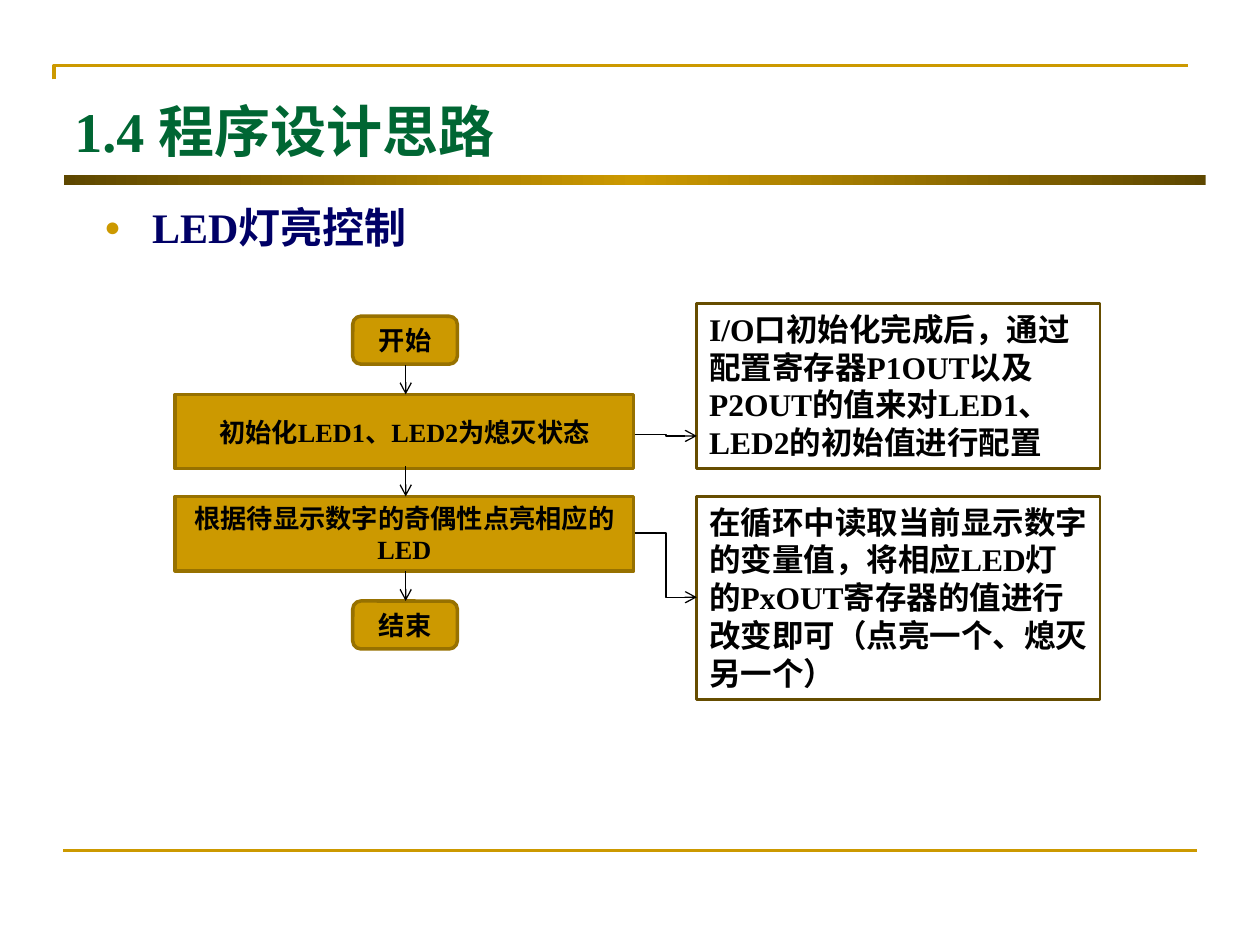
"""Build the slide on the LED control flow."""
from copy import deepcopy
from lxml.etree import SubElement
from pptx import Presentation
from pptx.dml.color import RGBColor
from pptx.enum.shapes import MSO_CONNECTOR, MSO_SHAPE
from pptx.enum.text import MSO_ANCHOR, MSO_AUTO_SIZE, PP_ALIGN
from pptx.oxml.ns import qn
from pptx.util import Inches, Pt

COLORS = {
    "gold": "CC9900", "edge": "977100", "brown": "664D00", "dark": "5E4700",
    "green": "006633", "navy": "000066", "black": "000000",
}
SERIF = "Times New Roman"


def rgb(name):
    """Return a named colour."""
    return RGBColor.from_string(COLORS[name])


def write(frame, text, size, color, font=SERIF, align=PP_ALIGN.LEFT):
    """Put one bold run in the first paragraph of a frame."""
    frame.word_wrap = True
    para = frame.paragraphs[0]
    para.alignment = align
    run = para.add_run()
    run.text = text
    run.font.size, run.font.name, run.font.bold = Pt(size), font, True
    run.font.color.rgb = rgb(color)
    return para


def outline(shape, color, width):
    """Set the line of a shape and drop its shadow."""
    shape.shadow.inherit = False
    shape.line.color.rgb = rgb(color)
    shape.line.width = Pt(width)


def add_link(slide, kind, start, end, color="black", width=0.75, arrow=True):
    """Draw a connector, with an arrowhead if asked."""
    link = slide.shapes.add_connector(kind, *map(Inches, start + end))
    link.line.color.rgb = rgb(color)
    link.line.width = Pt(width)
    props = link._element.spPr
    SubElement(props, qn("a:effectLst"))
    if arrow:
        SubElement(props.find(qn("a:ln")), qn("a:tailEnd"), type="arrow")


def add_frame(slide):
    """Draw the corner rule, the bottom rule and the title bar."""
    form = slide.shapes.build_freeform(Inches(0.43), Inches(0.63))
    points = [(0.43, 0.52), (9.43, 0.52)]
    form.add_line_segments([(Inches(x), Inches(y)) for x, y in points], close=False)
    corner = form.convert_to_shape()
    corner.fill.background()
    outline(corner, "gold", 2.25)
    add_link(slide, MSO_CONNECTOR.STRAIGHT, (0.5, 6.75), (9.5, 6.75), "gold", 1.5, False)
    bar = slide.shapes.add_shape(
        MSO_SHAPE.RECTANGLE, Inches(0.51), Inches(1.39), Inches(9.06), Inches(0.08))
    bar.shadow.inherit = False
    bar.line.fill.background()
    bar.fill.gradient()
    bar.fill.gradient_angle = 0
    stops = bar._element.spPr.find(qn("a:gradFill")).find(qn("a:gsLst"))
    stops.insert(1, deepcopy(stops[0]))
    for stop, name, place in zip(bar.fill.gradient_stops, ("dark", "gold", "dark"), (0, 0.5, 1)):
        stop.color.rgb = rgb(name)
        stop.position = place


def add_title(slide, text):
    """Place and fill the title."""
    title = slide.shapes.title
    title.left, title.top = Inches(0.49), Inches(0.74)
    title.width, title.height = Inches(6.75), Inches(0.58)
    frame = title.text_frame
    frame.auto_size = MSO_AUTO_SIZE.NONE
    frame.vertical_anchor = MSO_ANCHOR.MIDDLE
    write(frame, text, 32, "green")


def add_bullet(slide, text):
    """Add the bulleted heading."""
    box = slide.shapes.add_textbox(Inches(0.73), Inches(1.55), Inches(6.76), Inches(0.59))
    para = write(box.text_frame, text, 24, "navy")
    para.space_before = Pt(4.8)
    props = para._p.get_or_add_pPr()
    props.set("marL", str(Inches(0.38)))
    props.set("indent", str(-Inches(0.38)))
    SubElement(SubElement(props, qn("a:buClr")), qn("a:srgbClr"), val=COLORS["gold"])
    SubElement(props, qn("a:buSzPct"), val="65000")
    SubElement(props, qn("a:buFont"), typeface="Arial")
    SubElement(props, qn("a:buChar"), char="●")


def add_step(slide, kind, spot, text, font=SERIF):
    """Add a gold box of the flow."""
    step = slide.shapes.add_shape(kind, *map(Inches, spot))
    step.fill.solid()
    step.fill.fore_color.rgb = rgb("gold")
    outline(step, "edge", 2)
    frame = step.text_frame
    frame.margin_left = frame.margin_right = Inches(0.07)
    frame.margin_top = frame.margin_bottom = Inches(0.04)
    frame.vertical_anchor = MSO_ANCHOR.MIDDLE
    write(frame, text, 15, "black", font, PP_ALIGN.CENTER)


def add_note(slide, top, height, text):
    """Add an outlined note beside the flow."""
    note = slide.shapes.add_shape(
        MSO_SHAPE.RECTANGLE, Inches(5.53), Inches(top), Inches(3.2), Inches(height))
    note.fill.background()
    outline(note, "brown", 1.5)
    note.text_frame.vertical_anchor = MSO_ANCHOR.TOP
    write(note.text_frame, text, 18, "black")


def main():
    """Build and save the slide."""
    deck = Presentation()
    deck.slide_width, deck.slide_height = Inches(10), Inches(7.5)
    slide = deck.slides.add_slide(deck.slide_layouts[5])
    add_frame(slide)
    add_title(slide, "1.4 程序设计思路")
    add_bullet(slide, "LED灯亮控制")
    for top, text, font in ((2.51, "开始", "Arial"), (4.77, "结束", SERIF)):
        add_step(slide, MSO_SHAPE.ROUNDED_RECTANGLE, (2.8, top, 0.83, 0.38), text, font)
    steps = ((3.13, "初始化LED1、LED2为熄灭状态"),
             (3.94, "根据待显示数字的奇偶性点亮相应的LED"))
    for top, text in steps:
        add_step(slide, MSO_SHAPE.RECTANGLE, (1.39, top, 3.64, 0.59), text)
    for start, end in ((2.9, 3.13), (3.7, 3.94), (4.53, 4.77)):
        add_link(slide, MSO_CONNECTOR.STRAIGHT, (3.22, start), (3.22, end))
    add_note(slide, 2.41, 1.31,
             "I/O口初始化完成后，通过配置寄存器P1OUT以及P2OUT的值来对LED1、LED2的初始值进行配置")
    add_note(slide, 3.94, 1.61,
             "在循环中读取当前显示数字的变量值，将相应LED灯的PxOUT寄存器的值进行改变即可（点亮一个、熄灭另一个）")
    for start, end in ((3.45, 3.46), (4.23, 4.74)):
        add_link(slide, MSO_CONNECTOR.ELBOW, (5.04, start), (5.53, end))
    deck.save("out.pptx")


main()
